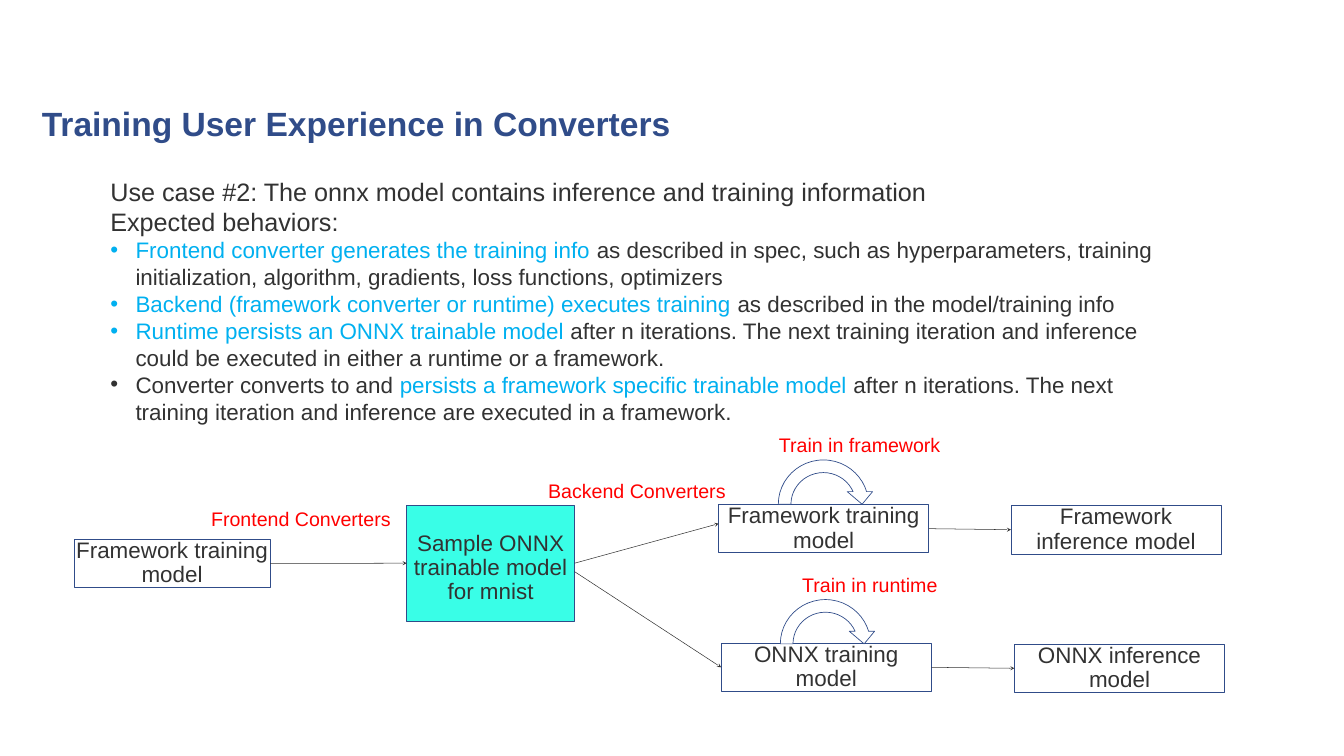
from lxml.etree import SubElement
from pptx import Presentation
from pptx.dml.color import RGBColor
from pptx.enum.shapes import MSO_CONNECTOR, MSO_SHAPE
from pptx.enum.text import MSO_ANCHOR, PP_ALIGN
from pptx.oxml.ns import qn
from pptx.util import Inches, Pt

NAVY = RGBColor(0x30, 0x4C, 0x89)
DARK = RGBColor(0x32, 0x32, 0x32)
BLUE = RGBColor(0x00, 0xB0, 0xF0)
RED = RGBColor(0xFF, 0x00, 0x00)
AQUA = RGBColor(0x39, 0xFE, 0xE7)
WHITE = RGBColor(0xFF, 0xFF, 0xFF)

WIDTH, HEIGHT = Inches(26.67), Inches(15)
TITLE = "Training User Experience in Converters"
TITLE_AREA = (3.11, 14.2, 93.7, 4.87)
BODY_AREA = (7.84, 22.93, 80.43, 37.93)
INTRODUCTION = [
    "Use case #2: The onnx model contains inference and training information",
    "Expected behaviors:",
]
BEHAVIORS = [
    [("Frontend converter generates the training info ", BLUE),
     ("as described in spec, such as hyperparameters, training initialization, "
      "algorithm, gradients, loss functions, optimizers", DARK)],
    [("Backend (framework converter or runtime) executes training ", BLUE),
     ("as described in the model/training info", DARK)],
    [("Runtime persists an ONNX trainable model ", BLUE),
     ("after n iterations. The next training iteration and inference could be "
      "executed in either a runtime or a framework.", DARK)],
    [("Converter converts to and ", DARK),
     ("persists a framework specific trainable model ", BLUE),
     ("after n iterations. The next training iteration and inference are "
      "executed in a framework.", DARK)],
]
BOX_WIDTH, BOX_HEIGHT = 15.64, 6.4
BOXES = {
    "source": ("Framework training model", (5.51, 71.33, 14.59, BOX_HEIGHT), WHITE, 0),
    "sample": ("Sample ONNX trainable model for mnist", (30.26, 66.8, 12.49, 15.4), AQUA, 0.2),
    "framework training": ("Framework training model", (53.47, 66.73, BOX_WIDTH, BOX_HEIGHT), None, 0),
    "framework inference": ("Framework inference model", (75.22, 66.87, BOX_WIDTH, BOX_HEIGHT), None, 0),
    "runtime training": ("ONNX training model", (53.66, 85.07, BOX_WIDTH, BOX_HEIGHT), None, 0),
    "runtime inference": ("ONNX inference model", (75.48, 85.2, BOX_WIDTH, BOX_HEIGHT), None, 0),
}
LABELS = [
    ("Frontend Converters", (15.34, 66.73, 14.59, 3.8)),
    ("Backend Converters", (40.42, 63, 14.51, 3.8)),
    ("Train in framework", (57.59, 57, 13.95, 3.9)),
    ("Train in runtime", (59.32, 75.47, 11.62, 3.8)),
]
LOOPS = [(57.44, 60, 7.65, 13.4), (57.59, 78.47, 7.65, 13.4)]
LINKS = [
    ("source", "sample"),
    ("sample", (53.47, 69.27)),
    ((42.74, 75.6), "runtime training"),
    ("framework training", "framework inference"),
    ("runtime training", "runtime inference"),
]
LEFT_SIDE, RIGHT_SIDE = 1, 3


def scale(shares):
    return [round(share * size / 100) for share, size in zip(shares, (WIDTH, HEIGHT) * 2)]


def add_run(paragraph, text, size, color, bold=False):
    run = paragraph.add_run()
    run.text = text
    run.font.name = "Arial"
    run.font.size = Pt(size)
    run.font.bold = bold
    run.font.color.rgb = color


def set_frame(frame, horizontal, vertical, anchor):
    frame.word_wrap = True
    frame.margin_left = frame.margin_right = Inches(horizontal)
    frame.margin_top = frame.margin_bottom = Inches(vertical)
    frame.vertical_anchor = anchor


def add_text_box(slide, area):
    frame = slide.shapes.add_textbox(*scale(area)).text_frame
    set_frame(frame, 0.1, 0.05, MSO_ANCHOR.TOP)
    return frame


def add_bullet(paragraph, color):
    properties = paragraph._p.get_or_add_pPr()
    properties.set("marL", str(Inches(0.5)))
    properties.set("indent", str(Inches(-0.5)))
    bullet_color = SubElement(properties, qn("a:buClr"))
    SubElement(bullet_color, qn("a:srgbClr"), val=str(color))
    SubElement(properties, qn("a:buFont"), typeface="Arial")
    SubElement(properties, qn("a:buChar"), char="•")


def add_title(slide):
    title = slide.shapes.title
    title.left, title.top, title.width, title.height = scale(TITLE_AREA)
    set_frame(title.text_frame, 0, 0, MSO_ANCHOR.MIDDLE)
    paragraph = title.text_frame.paragraphs[0]
    paragraph.alignment = PP_ALIGN.LEFT
    paragraph.line_spacing = 0.9
    add_run(paragraph, TITLE, 48, NAVY, True)


def add_body(slide):
    frame = add_text_box(slide, BODY_AREA)
    lines = [(36, [(text, DARK)]) for text in INTRODUCTION]
    lines += [(32, runs) for runs in BEHAVIORS]
    for index, (size, runs) in enumerate(lines):
        paragraph = frame.add_paragraph() if index else frame.paragraphs[0]
        if index >= len(INTRODUCTION):
            add_bullet(paragraph, runs[0][1])
        for text, color in runs:
            add_run(paragraph, text, size, color)


def add_outlined_shape(slide, preset, area, fill):
    shape = slide.shapes.add_shape(preset, *scale(area))
    shape.shadow.inherit = False
    if fill is None:
        shape.fill.background()
    else:
        shape.fill.solid()
        shape.fill.fore_color.rgb = fill
    shape.line.color.rgb = NAVY
    shape.line.width = Pt(1)
    return shape


def add_box(slide, text, area, fill, top_margin):
    box = add_outlined_shape(slide, MSO_SHAPE.RECTANGLE, area, fill)
    set_frame(box.text_frame, 0, 0, MSO_ANCHOR.MIDDLE)
    box.text_frame.margin_top = Inches(top_margin)
    paragraph = box.text_frame.paragraphs[0]
    paragraph.alignment = PP_ALIGN.CENTER
    paragraph.line_spacing = 0.9
    add_run(paragraph, text, 32, DARK)
    return box


def add_link(slide, boxes, start, end):
    start_point = (0, 0) if start in boxes else scale(start)
    end_point = (0, 0) if end in boxes else scale(end)
    link = slide.shapes.add_connector(MSO_CONNECTOR.STRAIGHT, *start_point, *end_point)
    if start in boxes:
        link.begin_connect(boxes[start], RIGHT_SIDE)
    if end in boxes:
        link.end_connect(boxes[end], LEFT_SIDE)
    link.line.color.rgb = DARK
    link.line.width = Pt(0.75)
    SubElement(link.line._get_or_add_ln(), qn("a:tailEnd"), type="stealth")
    SubElement(link._element.spPr, qn("a:effectLst"))


def main():
    """Build the slide on training user experience in converters."""
    presentation = Presentation()
    presentation.slide_width, presentation.slide_height = WIDTH, HEIGHT
    slide = presentation.slides.add_slide(presentation.slide_layouts[5])
    add_title(slide)
    add_body(slide)
    boxes = {name: add_box(slide, *details) for name, details in BOXES.items()}
    for start, end in LINKS:
        add_link(slide, boxes, start, end)
    for text, area in LABELS:
        add_run(add_text_box(slide, area).paragraphs[0], text, 28, RED)
    for area in LOOPS:
        add_outlined_shape(slide, MSO_SHAPE.CIRCULAR_ARROW, area, WHITE)
    presentation.save("out.pptx")


if __name__ == "__main__":
    main()
